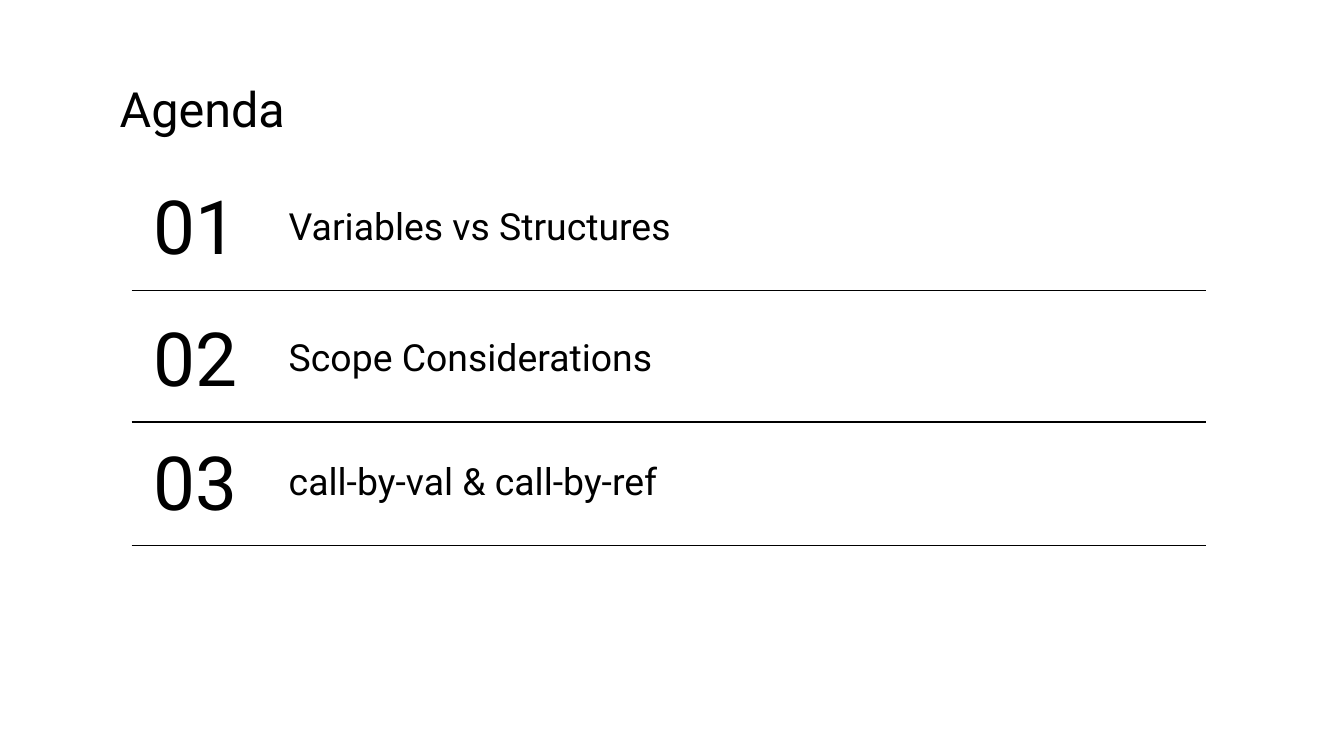
from dataclasses import dataclass

from lxml import etree
from pptx import Presentation
from pptx.dml.color import RGBColor
from pptx.enum.shapes import MSO_CONNECTOR
from pptx.enum.text import MSO_ANCHOR, MSO_AUTO_SIZE, PP_ALIGN
from pptx.oxml.ns import qn
from pptx.util import Inches, Pt

STRAIGHT = MSO_CONNECTOR.STRAIGHT
TOP, MIDDLE = MSO_ANCHOR.TOP, MSO_ANCHOR.MIDDLE
LEFT, CENTER = PP_ALIGN.LEFT, PP_ALIGN.CENTER
NO_AUTOFIT = MSO_AUTO_SIZE.NONE
TITLE_ONLY = 5
PAGE_WIDTH = 10
PAGE_HEIGHT = PAGE_WIDTH * 9 / 16


@dataclass(frozen=True)
class Theme:
    font: str = "Roboto"
    ink: RGBColor = RGBColor(0, 0, 0)
    paper: RGBColor = RGBColor(255, 255, 255)
    title_size: int = 26
    number_size: int = 40
    topic_size: int = 20
    rule_width: float = 0.75


THEME = Theme()
AGENDA = [
    (1.26, "Variables vs Structures"),
    (2.24, "Scope Considerations"),
    (3.16, "call-by-val & call-by-ref"),
]


def write_text(box, text, size, align=LEFT, anchor=MIDDLE):
    frame = box.text_frame
    frame.word_wrap = True
    frame.auto_size = NO_AUTOFIT
    frame.vertical_anchor = anchor
    frame.margin_left = frame.margin_right = Inches(0.1)
    frame.margin_top = frame.margin_bottom = Inches(0.1)
    para = frame.paragraphs[0]
    para.text = text
    para.alignment = align
    para.font.name = THEME.font
    para.font.size = Pt(size)
    para.font.color.rgb = THEME.ink


def set_title(page, text):
    title = page.shapes.title
    title.left, title.top = Inches(0.79), Inches(0.49)
    title.width, title.height = Inches(8.43), Inches(0.63)
    write_text(title, text, THEME.title_size, anchor=TOP)


def add_text(page, left, top, width, height, text, size, align=LEFT):
    box = page.shapes.add_textbox(
        Inches(left), Inches(top), Inches(width), Inches(height)
    )
    write_text(box, text, size, align)


def add_rule(page, top):
    rule = page.shapes.add_connector(
        STRAIGHT, Inches(0.98), Inches(top), Inches(8.97), Inches(top)
    )
    rule.line.color.rgb = THEME.ink
    rule.line.width = Pt(THEME.rule_width)
    etree.SubElement(rule._element.spPr, qn("a:effectLst"))


def add_agenda_item(page, number, top, topic):
    add_text(page, 1.03, top, 0.85, 0.83, f"{number:02}", THEME.number_size, CENTER)
    add_text(page, 2.05, top + 0.2, 6.01, 0.43, topic, THEME.topic_size)
    add_rule(page, top + 0.9)


def main():
    deck = Presentation()
    deck.slide_width, deck.slide_height = Inches(PAGE_WIDTH), Inches(PAGE_HEIGHT)
    page = deck.slides.add_slide(deck.slide_layouts[TITLE_ONLY])
    page.background.fill.solid()
    page.background.fill.fore_color.rgb = THEME.paper
    set_title(page, "Agenda")
    for number, (top, topic) in enumerate(AGENDA, start=1):
        add_agenda_item(page, number, top, topic)
    deck.save("out.pptx")


if __name__ == "__main__":
    main()
